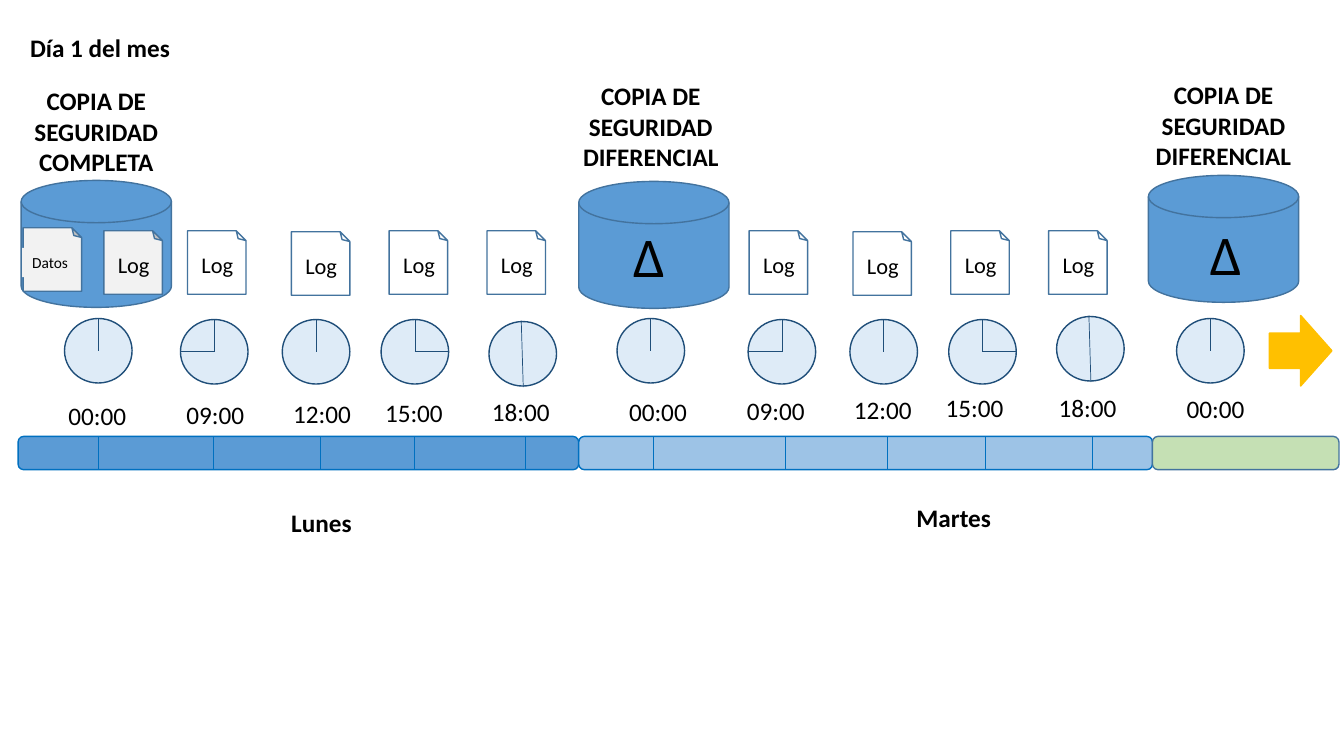
"""Build a slide showing a weekly schedule of full, differential and log backups."""
from dataclasses import dataclass

from lxml.etree import SubElement
from pptx import Presentation
from pptx.dml.color import RGBColor
from pptx.enum.shapes import MSO_CONNECTOR as Connector, MSO_SHAPE as Preset
from pptx.enum.text import MSO_AUTO_SIZE as AutoSize, PP_ALIGN as Align
from pptx.oxml.ns import qn
from pptx.shapes.autoshape import Shape
from pptx.slide import Slide
from pptx.util import Inches, Pt

BLACK = RGBColor(0x00, 0x00, 0x00)
BLUE = RGBColor(0x5B, 0x9B, 0xD5)
EDGE_BLUE = RGBColor(0x43, 0x73, 0x9E)
BAR_EDGE = RGBColor(0x00, 0x70, 0xC0)
LIGHT_BLUE = RGBColor(0x9D, 0xC3, 0xE6)
CLOCK_FACE = RGBColor(0xDE, 0xEB, 0xF7)
CLOCK_EDGE = RGBColor(0x1F, 0x4E, 0x79)
GREEN = RGBColor(0xC5, 0xE0, 0xB4)
GOLD = RGBColor(0xFF, 0xC0, 0x00)
GREY = RGBColor(0xF2, 0xF2, 0xF2)

CLOCK_WIDTH, CLOCK_HEIGHT = 0.67, 0.64
BAR_TOP, BAR_HEIGHT = 4.33, 0.33
UP = (0.335, 0, 0.335, 0.32)
HANDS = {
    "00:00": [UP],
    "09:00": [UP, (0.01, 0.32, 0.345, 0.32)],
    "12:00": [UP],
    "15:00": [UP, (0.335, 0.32, 0.67, 0.32)],
    "18:00": [(0.32, -0.01, 0.34, 0.65)],
}


@dataclass(frozen=True)
class Backup:
    """A cylinder with its heading."""
    left: float
    top: float
    heading_left: float
    heading_top: float
    kind: str


@dataclass(frozen=True)
class Moment:
    """A clock with its hour label."""
    hour: str
    clock_left: float
    clock_top: float
    label_left: float
    label_top: float


@dataclass(frozen=True)
class Sheet:
    """A folded sheet with its caption."""
    left: float
    top: float
    caption: str = "Log"
    fill: RGBColor | None = None


@dataclass(frozen=True)
class Day:
    """A stretch of the time bar with its tick marks."""
    left: float
    width: float
    fill: RGBColor
    edge: RGBColor
    ticks: tuple[float, ...] = ()


@dataclass(frozen=True)
class Label:
    """A free piece of text."""
    text: str
    left: float
    top: float
    width: float
    height: float = 0.4
    size: int = 18
    bold: bool = True


BACKUPS = [
    Backup(0.21, 1.79, -0.02, 0.8, "COMPLETA"),
    Backup(5.74, 1.8, 5.48, 0.75, "DIFERENCIAL"),
    Backup(11.39, 1.74, 11.16, 0.74, "DIFERENCIAL"),
]
MOMENTS = [
    Moment("00:00", 0.64, 3.16, 0.58, 3.92),
    Moment("09:00", 1.79, 3.17, 1.75, 3.91),
    Moment("12:00", 2.8, 3.17, 2.81, 3.9),
    Moment("15:00", 3.78, 3.17, 3.72, 3.89),
    Moment("18:00", 4.85, 3.19, 4.78, 3.88),
    Moment("00:00", 6.12, 3.16, 6.14, 3.88),
    Moment("09:00", 7.42, 3.17, 7.31, 3.87),
    Moment("12:00", 8.43, 3.17, 8.37, 3.86),
    Moment("15:00", 9.41, 3.17, 9.28, 3.84),
    Moment("18:00", 10.48, 3.14, 10.4, 3.84),
    Moment("00:00", 11.67, 3.16, 11.67, 3.85),
]
LOG_STEPS = [(0, 2.29), (1.03, 2.3), (2, 2.29), (2.97, 2.29)]
SHEETS = [Sheet(start + step, top) for start in (1.86, 7.43) for step, top in LOG_STEPS]
SHEETS += [Sheet(1.03, 2.29, fill=GREY), Sheet(0.23, 2.26, "Datos", GREY)]
DAYS = [
    Day(0.18, 5.56, BLUE, BAR_EDGE, (0.98, 2.12, 3.18, 4.11, 5.21)),
    Day(5.74, 5.69, LIGHT_BLUE, BAR_EDGE, (6.48, 7.79, 8.8, 9.77, 10.83)),
    Day(11.43, 1.85, GREEN, EDGE_BLUE),
]
LABELS = [
    Label("Día 1 del mes", 0.2, 0.27, 1.66),
    Label("Δ", 6.18, 2.15, 0.52, 0.77, 40, False),
    Label("Δ", 11.9, 2.13, 0.52, 0.77, 40, False),
    Label("Lunes", 2.79, 4.98, 0.8),
    Label("Martes", 8.99, 4.93, 0.95),
]


def add_text(page: Slide, text: str, left: float, top: float, width: float, height: float, *,
             size: int = 18, bold: bool = False, wrap: bool = False,
             align: Align = Align.LEFT, fill: RGBColor | None = None) -> None:
    """Place text, one paragraph for each line."""
    box = page.shapes.add_textbox(Inches(left), Inches(top), Inches(width), Inches(height))
    if fill is not None:
        box.fill.solid()
        box.fill.fore_color.rgb = fill
    frame = box.text_frame
    frame.word_wrap = wrap
    frame.auto_size = AutoSize.SHAPE_TO_FIT_TEXT
    frame.text = text
    for para in frame.paragraphs:
        para.alignment = align
        for span in para.runs:
            span.font.name = "Calibri"
            span.font.size = Pt(size)
            span.font.bold = bold
            span.font.color.rgb = BLACK


def add_preset(page: Slide, preset: Preset, left: float, top: float, width: float, height: float,
               *, fill: RGBColor | None, edge: RGBColor) -> Shape:
    """Place a preset shape with a thin outline."""
    shape = page.shapes.add_shape(preset, Inches(left), Inches(top), Inches(width), Inches(height))
    shape.shadow.inherit = False
    if fill is None:
        shape.fill.background()
    else:
        shape.fill.solid()
        shape.fill.fore_color.rgb = fill
    shape.line.color.rgb = edge
    shape.line.width = Pt(1)
    return shape


def add_line(page: Slide, x1: float, y1: float, x2: float, y2: float, color: RGBColor) -> None:
    """Draw a hairline without a shadow."""
    line = page.shapes.add_connector(Connector.STRAIGHT, Inches(x1), Inches(y1),
                                     Inches(x2), Inches(y2))
    line.line.color.rgb = color
    line.line.width = Pt(0.5)
    SubElement(line.element.spPr, qn("a:effectLst"))


def draw_backup(page: Slide, backup: Backup) -> None:
    """Draw a cylinder and its heading."""
    add_preset(page, Preset.FLOWCHART_MAGNETIC_DISK, backup.left, backup.top, 1.49, 1.26,
               fill=BLUE, edge=EDGE_BLUE)
    add_text(page, f"COPIA DE SEGURIDAD\n{backup.kind}", backup.heading_left, backup.heading_top,
             1.95, 1.01, bold=True, wrap=True, align=Align.CENTER)


def draw_sheet(page: Slide, sheet: Sheet) -> None:
    """Draw a sheet folded at its upper right corner."""
    shape = add_preset(page, Preset.FOLDED_CORNER, sheet.left, sheet.top, 0.58, 0.63,
                       fill=sheet.fill, edge=EDGE_BLUE)
    shape.element.spPr.find(qn("a:xfrm")).set("flipV", "1")
    if sheet.caption == "Log":
        add_text(page, sheet.caption, sheet.left + 0.04, sheet.top + 0.15, 0.52, 0.37,
                 size=16, fill=sheet.fill)
    else:
        add_text(page, sheet.caption, sheet.left - 0.01, sheet.top + 0.2, 0.57, 0.29,
                 size=11, fill=sheet.fill)


def draw_moment(page: Slide, moment: Moment) -> None:
    """Draw a clock, its hands and its hour."""
    left, top = moment.clock_left, moment.clock_top
    add_preset(page, Preset.OVAL, left, top, CLOCK_WIDTH, CLOCK_HEIGHT,
               fill=CLOCK_FACE, edge=CLOCK_EDGE)
    for x1, y1, x2, y2 in HANDS[moment.hour]:
        add_line(page, left + x1, top + y1, left + x2, top + y2, CLOCK_EDGE)
    add_text(page, moment.hour, moment.label_left, moment.label_top, 0.78, 0.4)


def draw_day(page: Slide, day: Day) -> None:
    """Draw one day of the time bar."""
    add_preset(page, Preset.ROUNDED_RECTANGLE, day.left, BAR_TOP, day.width, BAR_HEIGHT,
               fill=day.fill, edge=day.edge)
    for tick in day.ticks:
        add_line(page, tick, BAR_TOP, tick, BAR_TOP + BAR_HEIGHT, day.edge)


def main() -> None:
    """Build and save the deck."""
    deck = Presentation()
    deck.slide_width, deck.slide_height = Inches(13.33), Inches(7.5)
    page = deck.slides.add_slide(deck.slide_layouts[6])
    for backup in BACKUPS:
        draw_backup(page, backup)
    for label in LABELS:
        add_text(page, label.text, label.left, label.top, label.width, label.height,
                 size=label.size, bold=label.bold)
    for sheet in SHEETS:
        draw_sheet(page, sheet)
    for moment in MOMENTS:
        draw_moment(page, moment)
    for day in DAYS:
        draw_day(page, day)
    add_preset(page, Preset.RIGHT_ARROW, 12.59, 3.13, 0.62, 0.7, fill=GOLD, edge=GOLD)
    deck.save("out.pptx")


if __name__ == "__main__":
    main()
